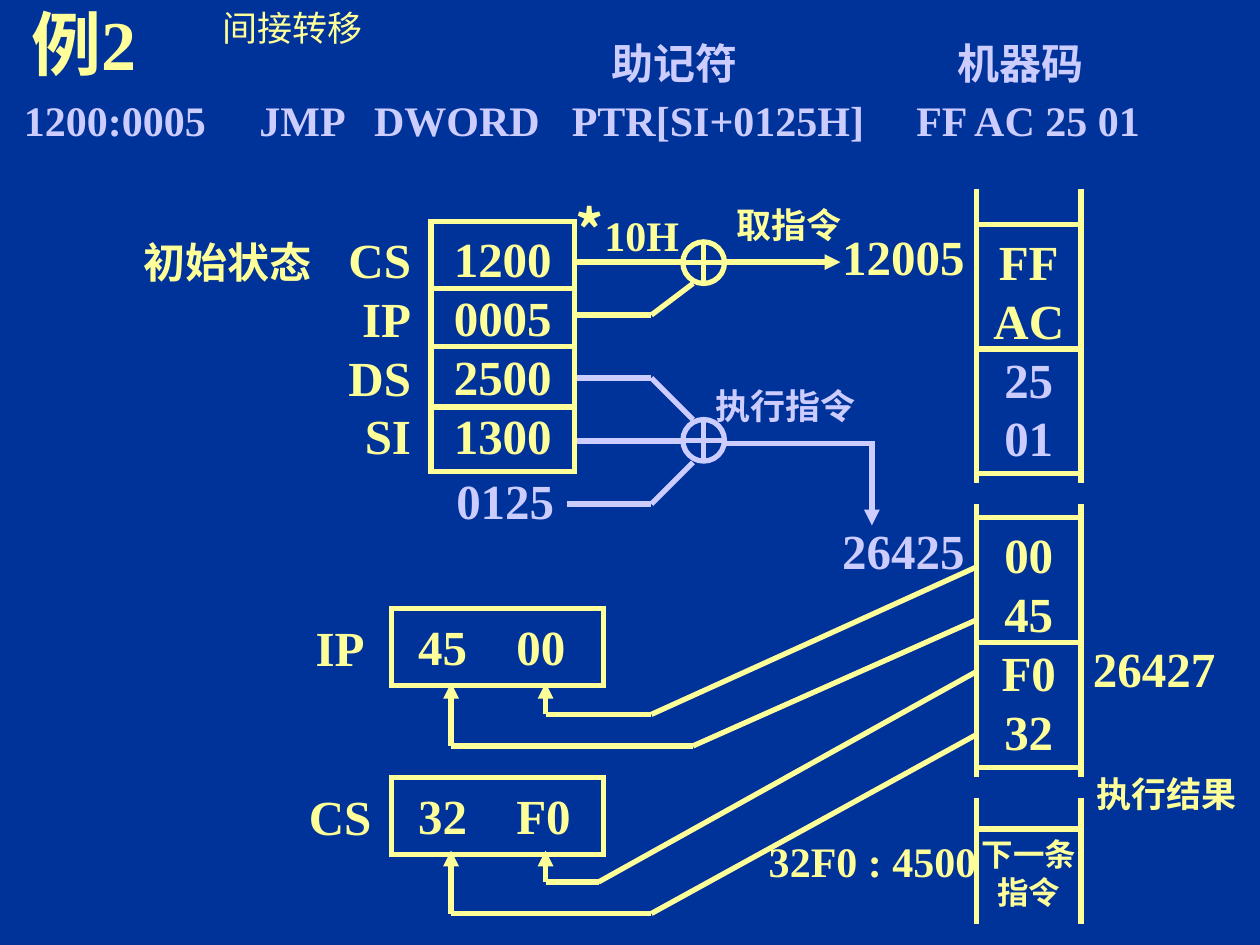
"""Build the slide on indirect transfer: registers, memory and data flow."""
from dataclasses import dataclass
from itertools import pairwise

from lxml.etree import SubElement
from pptx import Presentation
from pptx.dml.color import RGBColor
from pptx.enum.shapes import MSO_CONNECTOR, MSO_SHAPE
from pptx.enum.text import MSO_ANCHOR, MSO_AUTO_SIZE, PP_ALIGN
from pptx.oxml.ns import qn
from pptx.util import Inches, Pt

LEFT, CENTER, RIGHT = PP_ALIGN.LEFT, PP_ALIGN.CENTER, PP_ALIGN.RIGHT


@dataclass(frozen=True)
class Theme:
    back: RGBColor = RGBColor(0x00, 0x33, 0x99)
    main: RGBColor = RGBColor(0xFF, 0xFF, 0x99)
    soft: RGBColor = RGBColor(0xCC, 0xCC, 0xFF)
    latin: str = "Times New Roman"
    cjk: str = "Noto Sans CJK SC"
    title: float = 40
    star: float = 32
    value: float = 28
    code: float = 24
    label: float = 20
    small: float = 18
    line: float = 3


T = Theme()


def write(p, text, size=T.value, color=T.main, bold=True, font=T.latin):
    r = p.add_run()
    r.text = text
    r.font.size, r.font.bold, r.font.name = Pt(size), bold, font
    r.font.color.rgb = color
    SubElement(r.font._element, qn("a:ea"), typeface=T.cjk)


class Board:
    def __init__(self, slide, theme):
        self.s, self.t = slide, theme
        slide.background.fill.solid()
        slide.background.fill.fore_color.rgb = theme.back

    def lines(self, tf, text, align=CENTER, tabs=(), colors=(), **fmt):
        for i, row in enumerate(text.split("\n")):
            p = tf.add_paragraph() if i else tf.paragraphs[0]
            p.alignment = align
            if tabs:
                stops = SubElement(p._p.get_or_add_pPr(), qn("a:tabLst"))
                for x in tabs:
                    SubElement(stops, qn("a:tab"), pos=str(Inches(x)), algn="l")
            if colors:
                fmt["color"] = colors[i]
            write(p, row, **fmt)

    def text(self, x, y, w, h, text, wrap=False, anchor=MSO_ANCHOR.MIDDLE, **fmt):
        sp = self.s.shapes.add_textbox(Inches(x), Inches(y), Inches(w), Inches(h))
        tf = sp.text_frame
        tf.word_wrap, tf.vertical_anchor = wrap, anchor
        if not wrap:
            tf.auto_size = MSO_AUTO_SIZE.SHAPE_TO_FIT_TEXT
        self.lines(tf, text, **fmt)
        return tf

    def shape(self, x, y, w, h, text="", kind=MSO_SHAPE.RECTANGLE, color=T.main, **fmt):
        sp = self.s.shapes.add_shape(kind, Inches(x), Inches(y), Inches(w), Inches(h))
        sp.shadow.inherit = False
        sp.fill.background()
        sp.line.color.rgb, sp.line.width = color, Pt(self.t.line)
        SubElement(sp.line._get_or_add_ln(), qn("a:miter"), lim="800000")
        if text:
            sp.text_frame.vertical_anchor = MSO_ANCHOR.MIDDLE
            self.lines(sp.text_frame, text, **fmt)
        return sp

    def adder(self, x, y, color):
        self.shape(x, y, 0.33, 0.33, kind=MSO_SHAPE.FLOWCHART_OR, color=color)

    def line(self, start, end, color=T.main, arrow=False):
        c = self.s.shapes.add_connector(
            MSO_CONNECTOR.STRAIGHT, *(Inches(v) for v in (*start, *end)))
        c.line.color.rgb, c.line.width = color, Pt(self.t.line)
        if arrow:
            SubElement(c.line._get_or_add_ln(), qn("a:tailEnd"), type="triangle")
        SubElement(c._element.spPr, qn("a:effectLst"))
        return c

    def route(self, *points, color=T.main, arrow=False):
        for start, end in pairwise(points):
            self.line(start, end, color, arrow and end == points[-1])


def draw_headings(b):
    b.text(0, 0, 1.33, 0.67, "例2", wrap=True, size=T.title)
    b.text(1.67, 0, 1.83, 0.44, "间接转移", wrap=True, anchor=MSO_ANCHOR.TOP,
           align=LEFT, size=T.label, bold=False)
    code = {"size": T.code, "color": T.soft}
    b.text(4.75, 0.25, 1.2, 0.5, "助记符", **code)
    b.text(7.5, 0.25, 1.2, 0.5, "机器码", **code)
    b.text(0.09, 0.7, 6.88, 0.5, "1200:0005\tJMP\tDWORD\tPTR[SI+0125H]",
           wrap=True, align=LEFT, tabs=(1.87, 2.78, 4.35), **code)
    b.text(7.16, 0.7, 2, 0.5, "FF AC 25 01", **code)


def draw_registers(b):
    b.text(1.04, 1.83, 1.53, 0.5, "初始状态", size=T.code)
    regs = b.shape(3.42, 1.76, 1.14, 1.98, "1200\n0005\n2500\n1300")
    b.text(2.64, 1.77, 0.72, 1.97, "CS\nIP\nDS\nSI", align=RIGHT)
    for y in (2.29, 3.23):
        b.line((3.42, y), (4.58, y))
    b.line((3.42, 2.75), (4.58, 2.75)).begin_connect(regs, 1)
    b.text(3.46, 3.68, 1.1, 0.57, "0125", color=T.soft)
    for y, name, value in ((4.83, "IP", "45\t00"), (6.17, "CS", "32\tF0")):
        b.text(2.3, y + 0.02, 0.8, 0.57, name)
        b.shape(3.11, y, 1.68, 0.61)
        b.text(3.22, y + 0.01, 1.5, 0.57, value, wrap=True, align=LEFT, tabs=(0.78,))


def draw_memory(b):
    left, right = 7.75, 8.58
    cells = (
        (1.78, "FF\nAC\n25\n01", (T.main, T.main, T.soft, T.soft), 1.5, 3.83),
        (4.11, "00\n45\nF0\n32", (T.main,) * 4, 4, 6.17),
    )
    for y, values, colors, top, bottom in cells:
        box = b.shape(left, y, right - left, 1.98, values, colors=colors)
        middle = b.line((left, y + 0.99), (right, y + 0.99))
        middle.begin_connect(box, 1)
        middle.end_connect(box, 3)
        for x in (left, right):
            b.line((x, top), (x, y))
            b.line((x, y + 1.98), (x, bottom))
    for x in (left, right):
        b.line((x, 6.33), (x, 7.33))
    b.line((left, 6.58), (right, 6.58))
    b.text(7.69, 6.58, 0.95, 0.7, "下一条\n指令", size=T.small)
    b.text(6.57, 1.75, 1.2, 0.57, "12005")
    b.text(6.57, 4.08, 1.2, 0.57, "26425", color=T.soft)
    b.text(8.56, 5.02, 1.2, 0.57, "26427")
    b.text(8.58, 6.08, 1.35, 0.44, "执行结果", size=T.label)
    b.text(6, 6.58, 1.85, 0.5, "32F0 : 4500", size=T.code)


def draw_flows(b):
    b.adder(5.42, 1.92, T.main)
    b.route((4.58, 2.08), (5.42, 2.08))
    b.route((4.58, 2.5), (5.17, 2.5), (5.5, 2.25))
    b.route((5.75, 2.08), (6.67, 2.08), arrow=True)
    tf = b.text(4.45, 1.5, 1.06, 0.64, "*", size=T.star, font=T.cjk)
    write(tf.paragraphs[0], "10H", size=T.code)
    b.text(5.7, 1.56, 1.13, 0.44, "取指令", size=T.label)

    b.adder(5.42, 3.33, T.soft)
    b.route((4.58, 3), (5.17, 3), (5.5, 3.33), color=T.soft)
    b.route((4.58, 3.5), (5.42, 3.5), color=T.soft)
    b.route((4.5, 4), (5.17, 4), (5.5, 3.67), color=T.soft)
    b.route((5.73, 3.52), (6.9, 3.52), color=T.soft)
    b.route((6.92, 3.5), (6.92, 4.17), color=T.soft, arrow=True)
    b.text(5.56, 3, 1.35, 0.44, "执行指令", size=T.label, color=T.soft)

    loads = (
        (4.5, 5.17, 5.67, 4.33, 5.42),
        (4.92, 5.5, 5.92, 3.58, 5.42),
        (5.33, 4.75, 7, 4.33, 6.75),
        (5.83, 5.17, 7.25, 3.58, 6.75),
    )
    for source, bend, level, x, target in loads:
        b.route((7.75, source), (bend, level), (x, level), (x, target), arrow=True)


def main():
    prs = Presentation()
    prs.slide_width, prs.slide_height = Inches(10), Inches(7.5)
    b = Board(prs.slides.add_slide(prs.slide_layouts[6]), T)
    draw_headings(b)
    draw_registers(b)
    draw_memory(b)
    draw_flows(b)
    prs.save("out.pptx")


if __name__ == "__main__":
    main()
